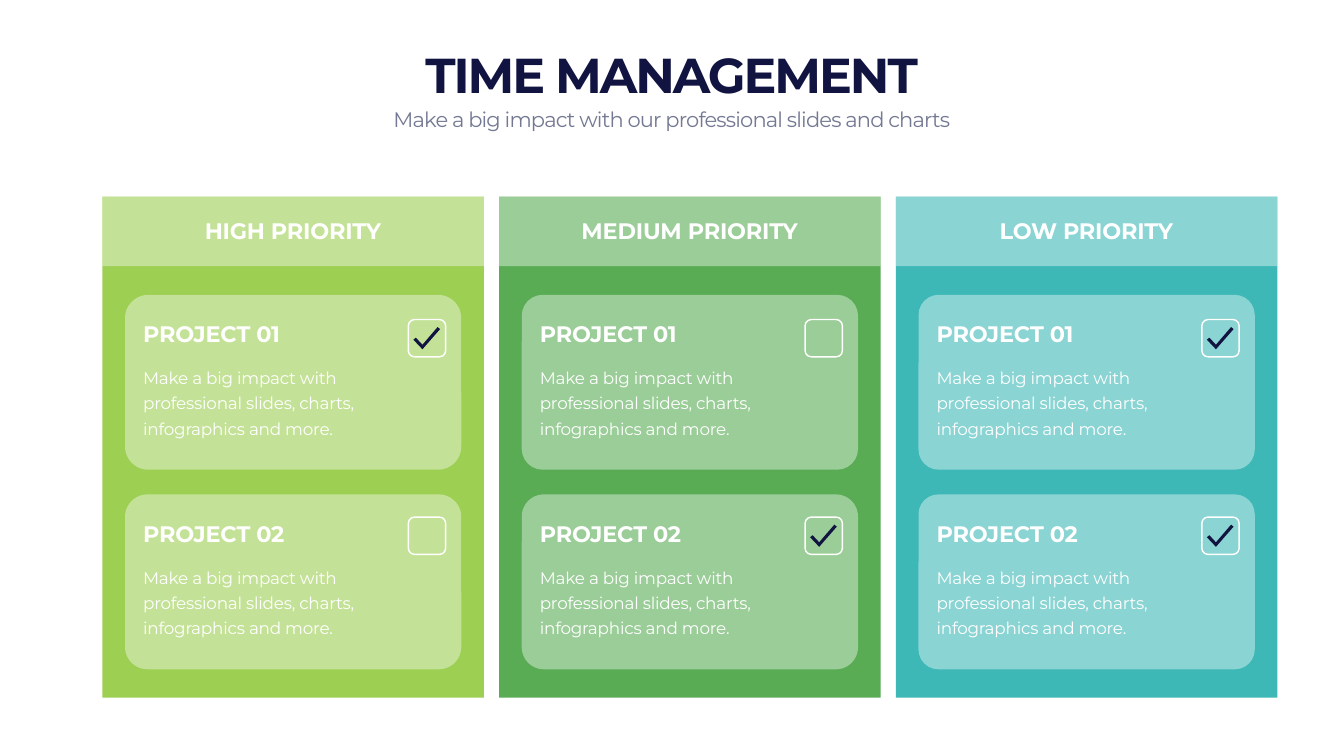
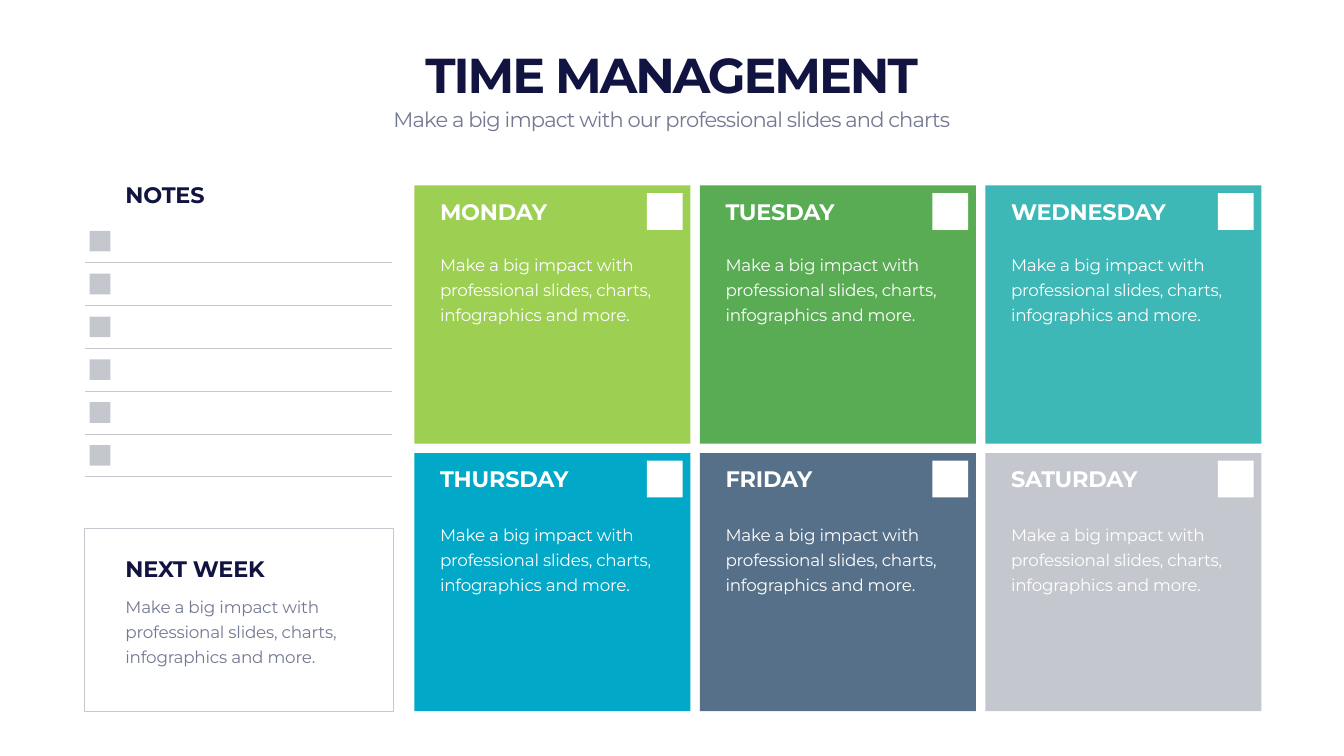
from dataclasses import dataclass
from typing import NamedTuple, Optional

from lxml.etree import SubElement as SubEl
from pptx import Presentation
from pptx.dml.color import RGBColor as Rgb
from pptx.enum.shapes import MSO_CONNECTOR as Conn, MSO_SHAPE as Form
from pptx.enum.text import MSO_ANCHOR as Anchor, MSO_AUTO_SIZE as Fit, PP_ALIGN as Align
from pptx.oxml.ns import qn
from pptx.util import Inches, Pt


# Theme: colours and type styles
class Style(NamedTuple):
    size: int
    bold: bool
    track: int                  # letter spacing, hundredths of a point
    lead: Optional[int] = None  # fixed line height, points


@dataclass(frozen=True)
class Theme:
    font: str = "Montserrat"
    white: str = "FFFFFF"
    navy: str = "111340"
    muted: str = "747993"
    lime: str = "9DCF53"
    green: str = "59AC54"
    teal: str = "3DB8B6"
    blue: str = "01A8C7"
    slate: str = "56708A"
    grey: str = "C4C8CE"
    veil: int = 40              # opacity of the white overlays, percent
    title: Style = Style(70, True, -290)
    sub: Style = Style(30, False, -120)
    head: Style = Style(32, True, -30)
    body: Style = Style(24, False, -30, 36)


THEME = Theme()
BLURB = "Make a big impact with professional slides, charts, infographics and more."


class Box(NamedTuple):
    x: float
    y: float
    w: float
    h: float

    def lengths(self) -> list:
        return [Inches(side) for side in self]


# Content
class Card(NamedTuple):
    name: str
    done: bool
    curve: float


class Lane(NamedTuple):
    name: str
    tint: str
    cards: tuple[Card, Card]


class Day(NamedTuple):
    name: str
    tint: str


LANES = (
    Lane("HIGH PRIORITY", THEME.lime,
         (Card("PROJECT 01", True, 0.133), Card("PROJECT 02", False, 0.128))),
    Lane("MEDIUM PRIORITY", THEME.green,
         (Card("PROJECT 01", False, 0.119), Card("PROJECT 02", True, 0.126))),
    Lane("LOW PRIORITY", THEME.teal,
         (Card("PROJECT 01", True, 0.115), Card("PROJECT 02", True, 0.113))),
)
DAYS = (
    Day("MONDAY", THEME.lime), Day("TUESDAY", THEME.green), Day("WEDNESDAY", THEME.teal),
    Day("THURSDAY", THEME.blue), Day("FRIDAY", THEME.slate), Day("SATURDAY", THEME.grey),
)


# Drawing helpers
def paint(shape, fill: Optional[str], line: Optional[str] = None,
          width: float = 1, alpha: int = 100) -> None:
    shape.shadow.inherit = False
    if fill:
        shape.fill.solid()
        shape.fill.fore_color.rgb = Rgb.from_string(fill)
        if alpha < 100:
            tint = shape._element.spPr.find(qn("a:solidFill")).find(qn("a:srgbClr"))
            SubEl(tint, qn("a:alpha")).set("val", str(alpha * 1000))
    else:
        shape.fill.background()
    if line:
        shape.line.color.rgb = Rgb.from_string(line)
        shape.line.width = Pt(width)
    else:
        shape.line.fill.background()


def block(slide, box: Box, fill: Optional[str], line: Optional[str] = None,
          width: float = 1, alpha: int = 100, curve: float = 0) -> None:
    form = Form.ROUNDED_RECTANGLE if curve else Form.RECTANGLE
    shape = slide.shapes.add_shape(form, *box.lengths())
    if curve:
        shape.adjustments[0] = curve
    paint(shape, fill, line, width, alpha)


def write(shape, text: str, style: Style, tint: str,
          align: Align = Align.LEFT, anchor: Anchor = Anchor.TOP) -> None:
    frame = shape.text_frame
    frame.word_wrap = True
    frame.auto_size = Fit.SHAPE_TO_FIT_TEXT
    frame.vertical_anchor = anchor
    para = frame.paragraphs[0]
    para.alignment = align
    if style.lead:
        para.line_spacing = Pt(style.lead)
    run = para.add_run()
    run.text = text
    font = run.font
    font.name, font.size, font.bold = THEME.font, Pt(style.size), style.bold
    font.color.rgb = Rgb.from_string(tint)
    run._r.get_or_add_rPr().set("spc", str(style.track))


def label(slide, box: Box, text: str, style: Style, tint: str,
          align: Align = Align.LEFT, anchor: Anchor = Anchor.TOP) -> None:
    write(slide.shapes.add_textbox(*box.lengths()), text, style, tint, align, anchor)


def rule(slide, x: float, y: float, end: float) -> None:
    line = slide.shapes.add_connector(
        Conn.STRAIGHT, Inches(x), Inches(y), Inches(end), Inches(y))
    line.line.color.rgb = Rgb.from_string(THEME.grey)
    line.line.width = Pt(1)
    SubEl(line._element.spPr, qn("a:effectLst"))


def tick(slide, x: float, y: float) -> None:
    # Points are in hundredths of an inch
    pen = slide.shapes.build_freeform(18, 44, scale=Inches(0.01))
    pen.add_line_segments([(0, 25), (5, 21), (18, 35), (48, 0), (53, 4)])
    paint(pen.convert_to_shape(Inches(x), Inches(y)), THEME.navy)


def start(deck):
    """Add a slide with the shared title and subtitle."""
    slide = deck.slides.add_slide(deck.slide_layouts[5])
    title = slide.shapes.title
    title.left, title.top, title.width, title.height = Box(1.66, 0.82, 23.33, 1.28).lengths()
    write(title, "TIME MANAGEMENT", THEME.title, THEME.navy, Align.CENTER, Anchor.BOTTOM)
    label(slide, Box(1.66, 2.06, 23.33, 0.61),
          "Make a big impact with our professional slides and charts",
          THEME.sub, THEME.muted, Align.CENTER)
    return slide


# Slide 1: priority lanes
def draw_card(slide, x: float, row: int, card: Card) -> None:
    top = 5.85 + 3.96 * row
    block(slide, Box(x + 0.45, top, 6.67, 3.47), THEME.white,
          alpha=THEME.veil, curve=card.curve)
    check = 6.34 + 3.92 * row
    block(slide, Box(x + 6.07, check, 0.74, 0.74), None, THEME.white, 2, curve=0.167)
    if card.done:
        tick(slide, x + 6.17, check + 0.15)
    label(slide, Box(x + 0.71, top + 0.45, 5.2, 0.64), card.name,
          THEME.head, THEME.white, anchor=Anchor.MIDDLE)
    label(slide, Box(x + 0.71, top + 1.3, 5.2, 1.57), BLURB, THEME.body, THEME.white)


def draw_lane(slide, x: float, lane: Lane) -> None:
    block(slide, Box(x, 3.9, 7.57, 9.94), lane.tint)
    block(slide, Box(x, 3.9, 7.57, 1.38), THEME.white, alpha=THEME.veil)
    label(slide, Box(x + 0.24, 4.25, 7.08, 0.64), lane.name,
          THEME.head, THEME.white, Align.CENTER, Anchor.BOTTOM)
    for row, card in enumerate(lane.cards):
        draw_card(slide, x, row, card)


def draw_board(deck) -> None:
    slide = start(deck)
    for col, lane in enumerate(LANES):
        draw_lane(slide, 2.03 + 7.87 * col, lane)


# Slide 2: week planner
def draw_day(slide, box: Box, day: Day, drop: float) -> None:
    block(slide, box, day.tint)
    block(slide, Box(box.x + 4.61, box.y + 0.15, 0.71, 0.73), THEME.white)
    label(slide, Box(box.x + 0.41, box.y + 0.19, 4.03, 0.64), day.name,
          THEME.head, THEME.white, anchor=Anchor.BOTTOM)
    label(slide, Box(box.x + 0.41, box.y + drop, 4.67, 1.57), BLURB,
          THEME.body, THEME.white)


def draw_notes(slide) -> None:
    label(slide, Box(2.39, 3.54, 4.67, 0.64), "NOTES",
          THEME.head, THEME.navy, anchor=Anchor.BOTTOM)
    for row in range(6):
        y = 4.58 + 0.85 * row
        block(slide, Box(1.78, y, 0.41, 0.41), THEME.grey)
        rule(slide, 1.69, y + 0.63, 7.77)


def draw_next(slide) -> None:
    block(slide, Box(1.67, 10.48, 6.13, 3.63), None, THEME.grey)
    label(slide, Box(2.39, 10.96, 4.67, 0.64), "NEXT WEEK",
          THEME.head, THEME.navy, anchor=Anchor.BOTTOM)
    label(slide, Box(2.39, 11.69, 4.67, 1.57), BLURB, THEME.body, THEME.muted)


def draw_week(deck) -> None:
    slide = start(deck)
    left, span, gap, cols = 8.22, 16.8, 0.19, 3
    wide, high = (span - gap * (cols - 1)) / cols, 5.12
    drops = (1.22, 1.27)  # body text offset in each row
    for i, day in enumerate(DAYS):
        row, col = divmod(i, cols)
        box = Box(left + col * (wide + gap), 3.68 + row * (high + gap), wide, high)
        draw_day(slide, box, day, drops[row])
    draw_notes(slide)
    draw_next(slide)


def main() -> None:
    deck = Presentation()
    deck.slide_width, deck.slide_height = Inches(26.66), Inches(15)
    draw_board(deck)
    draw_week(deck)
    deck.save("out.pptx")


main()
